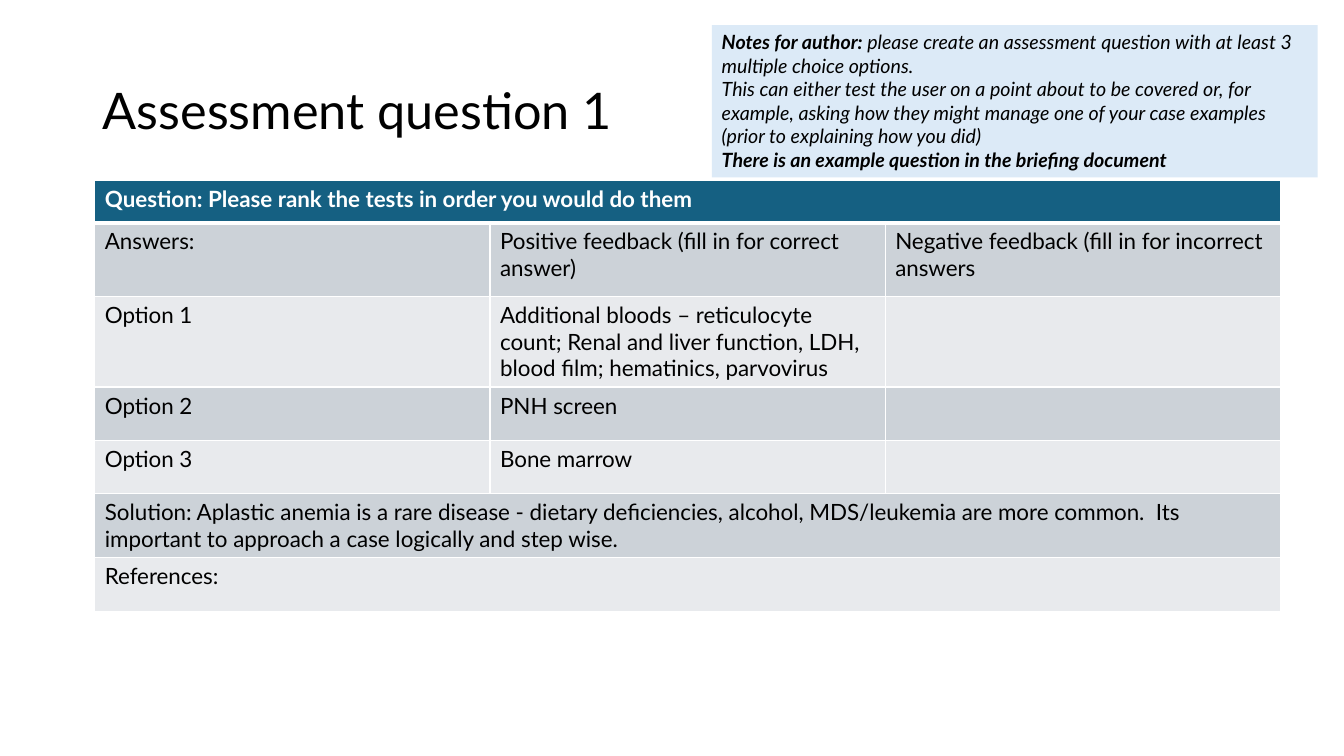
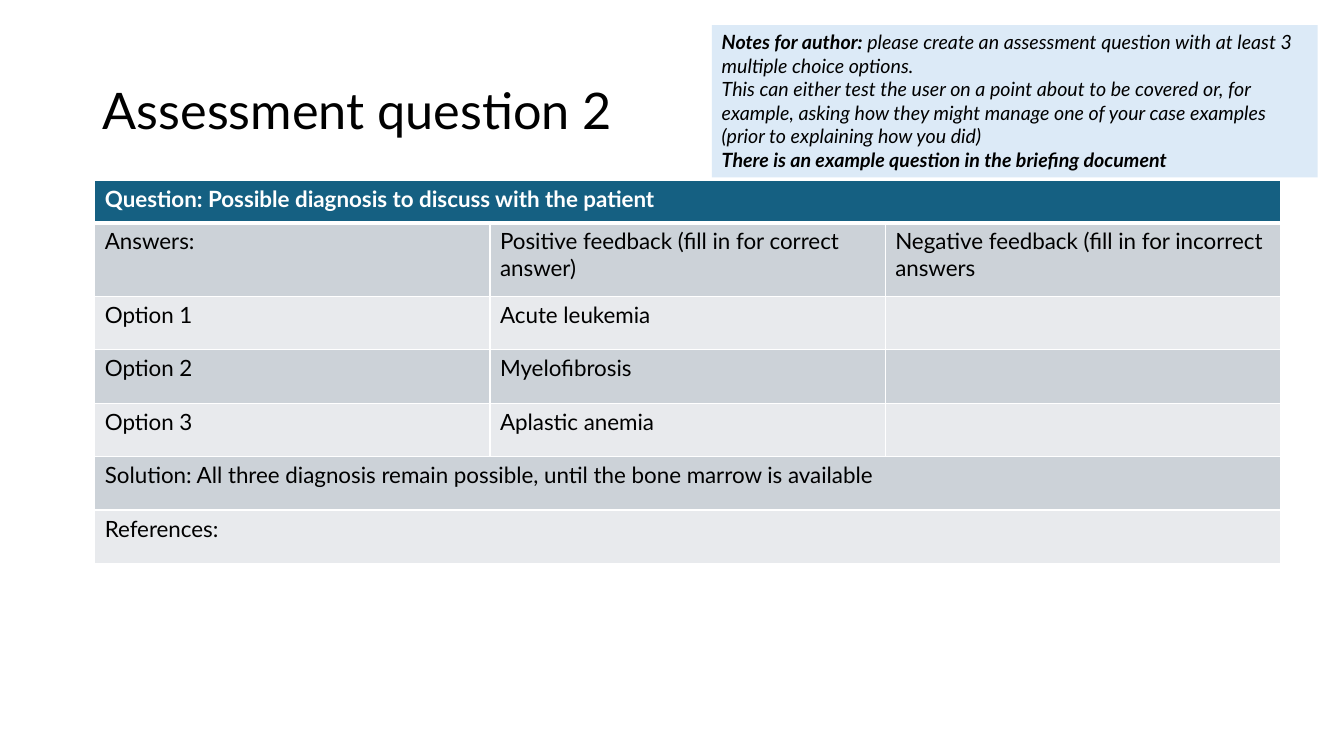
from dataclasses import dataclass

from lxml import etree
from pptx import Presentation
from pptx.dml.color import RGBColor
from pptx.enum.shapes import MSO_SHAPE
from pptx.enum.text import MSO_ANCHOR, MSO_AUTO_SIZE, PP_ALIGN
from pptx.oxml.ns import qn
from pptx.util import Inches, Pt

RECTANGLE = MSO_SHAPE.RECTANGLE
MIDDLE = MSO_ANCHOR.MIDDLE
GROW_TO_TEXT = MSO_AUTO_SIZE.SHAPE_TO_FIT_TEXT
LEFT = PP_ALIGN.LEFT
BLANK_LAYOUT = 6


@dataclass(frozen=True)
class Theme:
    font: str = "Lato"
    text: str = "000000"
    white: str = "FFFFFF"
    header: str = "156082"
    bands: tuple = ("CCD2D8", "E8EAED")
    note: str = "DCEAF7"
    title_size: int = 36
    table_size: int = 16
    note_size: int = 14
    thin_line: int = 1
    header_line: int = 3


THEME = Theme()

# Boxes: left, top, width, height in inches
TITLE_BOX = (0.92, 0.4, 11.5, 1.45)
TABLE_BOX = (0.94, 1.79, 11.76, 3.8)
NOTE_BOX = (7.06, 0.25, 6.01, 1.51)

HEADER_HEIGHT = 0.42
LABELS_HEIGHT = 0.73
COLUMN_LABELS = (
    "Answers:",
    "Positive feedback (fill in for correct answer)",
    "Negative feedback (fill in for incorrect answers",
)

# Each paragraph is a list of (text, bold)
AUTHOR_NOTE = (
    [
        ("Notes for author: ", True),
        ("please create an assessment question with at least 3 multiple choice options.", False),
    ],
    [(
        "This can either test the user on a point about to be covered or, for example, "
        "asking how they might manage one of your case examples "
        "(prior to explaining how you did)",
        False,
    )],
    [("There is an example question in the briefing document", True)],
)

QUESTIONS = (
    {
        "title": "Assessment question 1",
        "question": "Please rank the tests in order you would do them",
        "options": (
            "Additional bloods – reticulocyte count; Renal and liver function, LDH, "
            "blood film; hematinics, parvovirus",
            "PNH screen",
            "Bone marrow",
        ),
        "solution": "Aplastic anemia is a rare disease - dietary deficiencies, alcohol, "
        "MDS/leukemia are more common.  Its important to approach a case "
        "logically and step wise.",
    },
    {
        "title": "Assessment question 2",
        "question": "Possible diagnosis to discuss with the patient",
        "options": ("Acute leukemia", "Myelofibrosis", "Aplastic anemia"),
        "solution": "All three diagnosis remain possible, until the bone marrow is available",
    },
)


def color(value):
    return RGBColor.from_string(value)


def inches(box):
    return [Inches(length) for length in box]


def style_run(run, size, text_color=THEME.text, bold=False, italic=False):
    font = run.font
    font.name = THEME.font
    font.size = Pt(size)
    font.bold = bold
    font.italic = italic
    font.color.rgb = color(text_color)


def add_title(slide, box, text):
    text_frame = slide.shapes.add_textbox(*inches(box)).text_frame
    text_frame.word_wrap = True
    text_frame.vertical_anchor = MIDDLE
    text_frame.text = text
    paragraph = text_frame.paragraphs[0]
    paragraph.line_spacing = 0.9
    style_run(paragraph.runs[0], THEME.title_size)


def set_borders(cell, top, bottom):
    """Draw white cell edges; python-pptx has no method for them."""
    properties = cell._tc.get_or_add_tcPr()
    widths = {"L": THEME.thin_line, "R": THEME.thin_line, "T": top, "B": bottom}
    for side, width in widths.items():
        line = etree.SubElement(properties, qn(f"a:ln{side}"), w=str(Pt(width)))
        fill = etree.SubElement(line, qn("a:solidFill"))
        etree.SubElement(fill, qn("a:srgbClr"), val=THEME.white)


def fill_row(table, row_index, texts):
    """Fill one row; a single text spans all columns."""
    is_header = row_index == 0
    fill_color = THEME.header if is_header else THEME.bands[(row_index - 1) % 2]
    text_color = THEME.white if is_header else THEME.text
    top = THEME.header_line if row_index == 1 else THEME.thin_line
    bottom = THEME.header_line if is_header else THEME.thin_line
    cells = list(table.rows[row_index].cells)
    for cell in cells:
        set_borders(cell, top, bottom)
        cell.fill.solid()
        cell.fill.fore_color.rgb = color(fill_color)
    if len(texts) == 1:
        cells[0].merge(cells[-1])
    for cell, text in zip(cells, texts):
        if text:
            cell.text_frame.text = text
            style_run(cell.text_frame.paragraphs[0].runs[0],
                      THEME.table_size, text_color, bold=is_header)


def add_question_table(slide, box, content):
    options = [(f"Option {number}", answer, "")
               for number, answer in enumerate(content["options"], 1)]
    rows = [
        (f"Question: {content['question']}",),
        COLUMN_LABELS,
        *options,
        (f"Solution: {content['solution']}",),
        ("References:",),
    ]
    column_count = len(COLUMN_LABELS)
    table = slide.shapes.add_table(len(rows), column_count, *inches(box)).table
    table.horz_banding = False

    # Equal columns; rows below the labels share the remaining height
    width, height = box[2:]
    for column in table.columns:
        column.width = Inches(width / column_count)
    body_height = (height - HEADER_HEIGHT - LABELS_HEIGHT) / (len(rows) - 2)
    heights = [HEADER_HEIGHT, LABELS_HEIGHT] + [body_height] * (len(rows) - 2)
    for row_index, (texts, row_height) in enumerate(zip(rows, heights)):
        table.rows[row_index].height = Inches(row_height)
        fill_row(table, row_index, texts)


def add_author_note(slide, box):
    shape = slide.shapes.add_shape(RECTANGLE, *inches(box))
    shape.shadow.inherit = False
    shape.fill.solid()
    shape.fill.fore_color.rgb = color(THEME.note)
    shape.line.fill.background()
    text_frame = shape.text_frame
    text_frame.word_wrap = True
    text_frame.auto_size = GROW_TO_TEXT
    text_frame.vertical_anchor = MSO_ANCHOR.TOP
    for index, parts in enumerate(AUTHOR_NOTE):
        paragraph = text_frame.add_paragraph() if index else text_frame.paragraphs[0]
        paragraph.alignment = LEFT
        for text, bold in parts:
            run = paragraph.add_run()
            run.text = text
            style_run(run, THEME.note_size, bold=bold, italic=True)


def add_question_slide(presentation, content):
    slide = presentation.slides.add_slide(presentation.slide_layouts[BLANK_LAYOUT])
    add_title(slide, TITLE_BOX, content["title"])
    add_question_table(slide, TABLE_BOX, content)
    add_author_note(slide, NOTE_BOX)


def main():
    presentation = Presentation()
    presentation.slide_width = Inches(13.33)
    presentation.slide_height = Inches(7.5)
    for content in QUESTIONS:
        add_question_slide(presentation, content)
    presentation.save("out.pptx")


if __name__ == "__main__":
    main()
